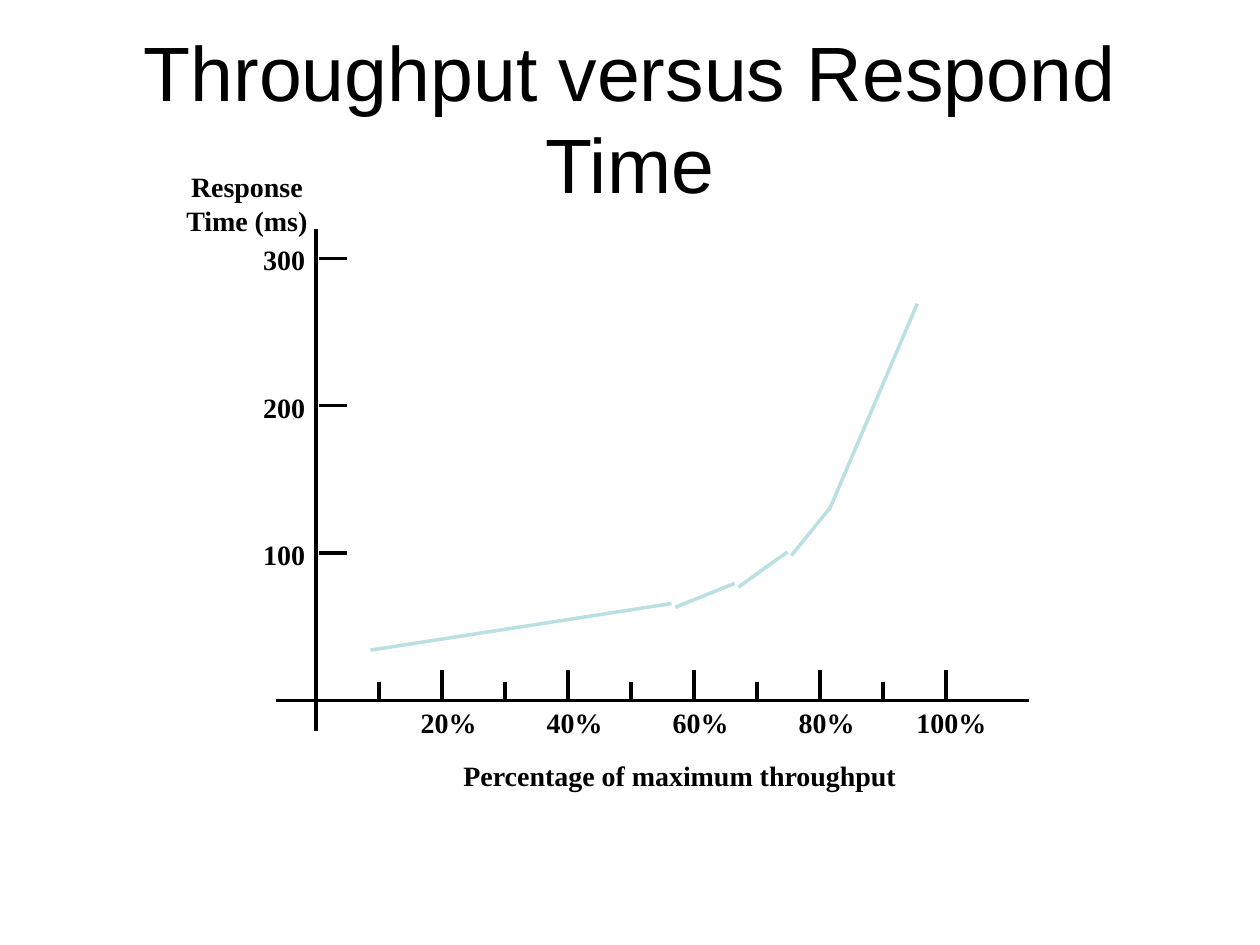
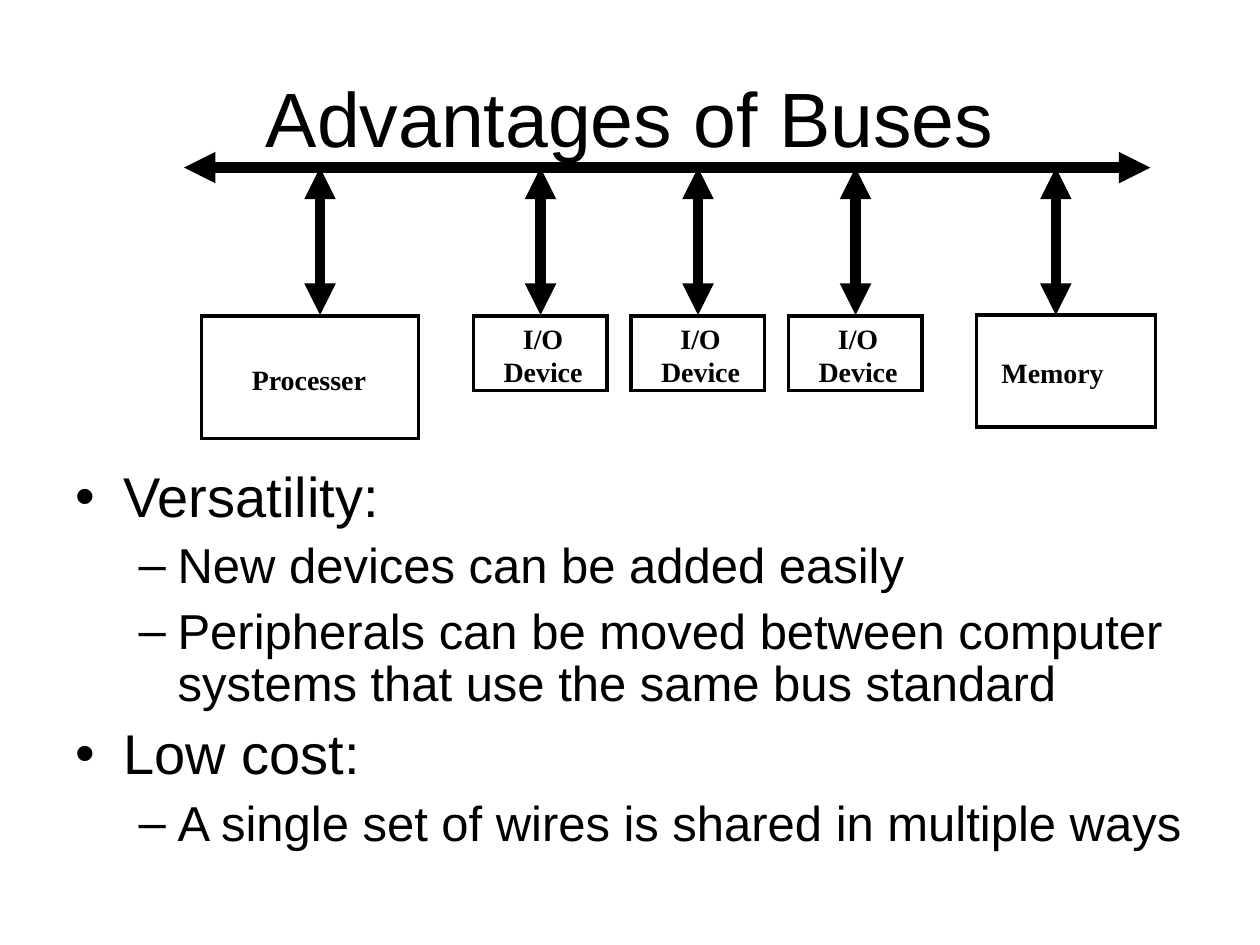
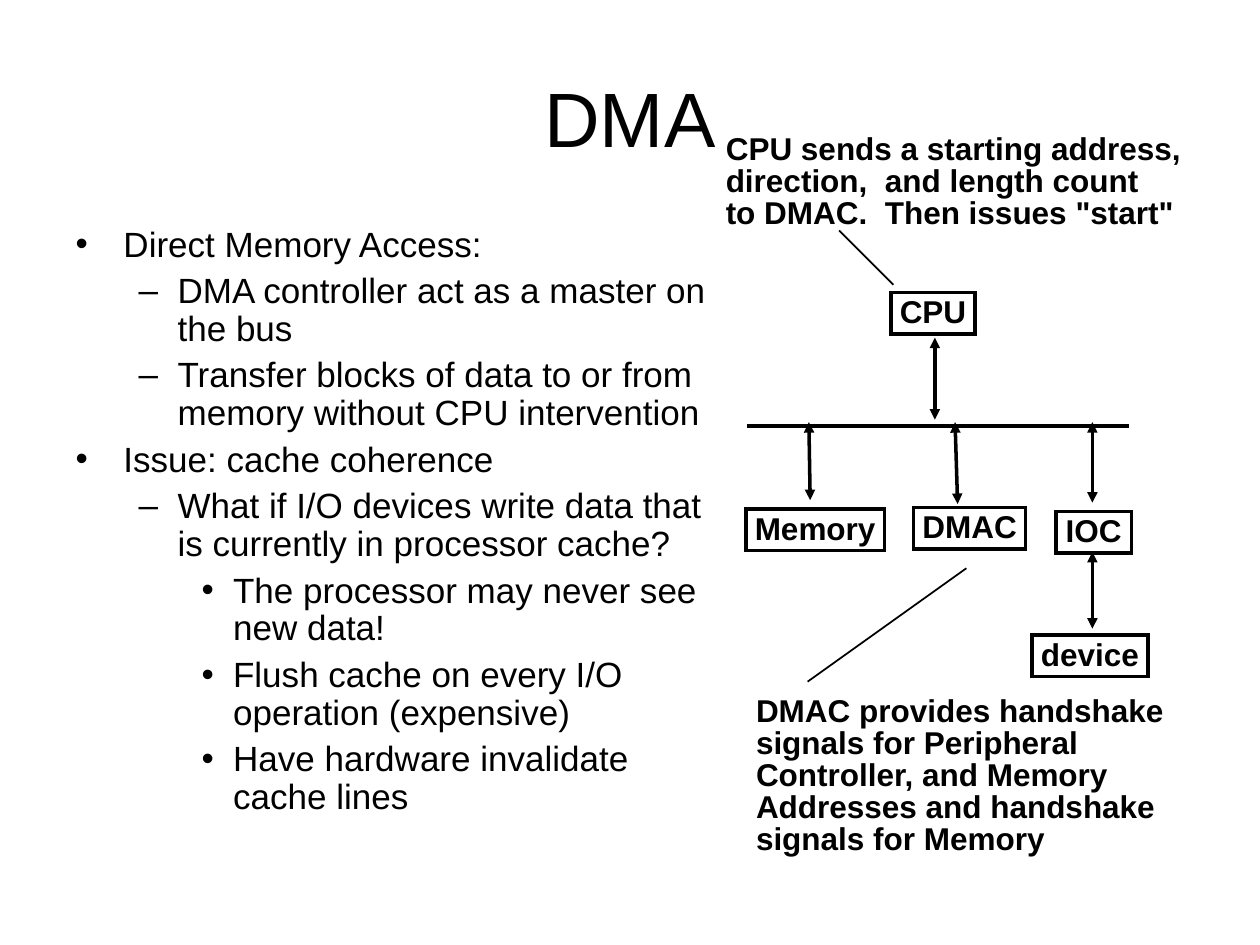
from dataclasses import dataclass

from lxml import etree
from pptx import Presentation
from pptx.dml.color import RGBColor
from pptx.enum import shapes, text as styles
from pptx.oxml.ns import qn
from pptx.util import Inches, Pt

BLACK = RGBColor(0x00, 0x00, 0x00)
PALE_TEAL = RGBColor(0xBB, 0xE0, 0xE3)
SANS = "Arial"
SERIF = "Times New Roman"
LEFT = styles.PP_ALIGN.LEFT
CENTER = styles.PP_ALIGN.CENTER
BULLETS = [("•", 0.38, 0.38), ("–", 0.81, 0.31), ("•", 1.25, 0.25)]


@dataclass
class Box:
    left: float
    top: float
    width: float
    height: float

    def inner(self, left, top, width, height):
        return Box(self.left + left, self.top + top, width, height)

    def point(self, across, down):
        return self.left + across, self.top + down

    def lengths(self):
        return [Inches(side) for side in (self.left, self.top, self.width, self.height)]


TITLE_BOX = Box(0.5, 0.3, 9, 1.25)


def write(para, text, size=16, font=SERIF, bold=False, align=LEFT, spacing=None, before=None):
    para.text = text
    para.alignment = align
    if spacing:
        para.line_spacing = spacing
    if before:
        para.space_before = Pt(before)
    for span in para.runs:
        span.font.size = Pt(size)
        span.font.name = font
        span.font.bold = bold
        span.font.color.rgb = BLACK


def write_lines(frame, lines, **form):
    for index, line in enumerate(lines):
        para = frame.add_paragraph() if index else frame.paragraphs[0]
        write(para, line, **form)


def fit_frame(frame, wrap=False, margins=(0.1, 0.05)):
    frame.word_wrap = wrap
    frame.auto_size = styles.MSO_AUTO_SIZE.SHAPE_TO_FIT_TEXT
    frame.margin_left = frame.margin_right = Inches(margins[0])
    frame.margin_top = frame.margin_bottom = Inches(margins[1])


def add_label(page, box, lines, wrap=False, margins=(0.1, 0.05), **form):
    frame = page.shapes.add_textbox(*box.lengths()).text_frame
    fit_frame(frame, wrap, margins)
    write_lines(frame, lines, **{"bold": True, **form})


def add_outline(page, box):
    outline = page.shapes.add_shape(shapes.MSO_SHAPE.RECTANGLE, *box.lengths())
    outline.shadow.inherit = False
    outline.fill.background()
    outline.line.color.rgb = BLACK
    outline.line.width = Pt(2)
    stroke = outline._element.spPr.find(qn("a:ln"))
    etree.SubElement(stroke, qn("a:miter"), lim="800000")
    return outline


def add_line(page, start, end, width=2, color=BLACK, arrows=False):
    ends = [Inches(length) for length in (*start, *end)]
    link = page.shapes.add_connector(shapes.MSO_CONNECTOR.STRAIGHT, *ends)
    link.line.color.rgb = color
    link.line.width = Pt(width)
    properties = link._element.spPr
    if arrows:
        stroke = properties.find(qn("a:ln"))
        for tip in ("a:headEnd", "a:tailEnd"):
            etree.SubElement(stroke, qn(tip), type="triangle")
    etree.SubElement(properties, qn("a:effectLst"))


def place(holder, box):
    holder.left, holder.top, holder.width, holder.height = box.lengths()
    holder.text_frame.word_wrap = True
    holder.text_frame.auto_size = styles.MSO_AUTO_SIZE.NONE
    return holder.text_frame


def add_page(deck, layout, title):
    page = deck.slides.add_slide(deck.slide_layouts[layout])
    frame = place(page.shapes.title, TITLE_BOX)
    frame.vertical_anchor = styles.MSO_ANCHOR.MIDDLE
    write(frame.paragraphs[0], title, size=44, font=SANS, align=CENTER)
    return page


def fill_body(page, box, items, sizes, gaps):
    frame = place(page.placeholders[1], box)
    for index, (level, line) in enumerate(items):
        para = frame.add_paragraph() if index else frame.paragraphs[0]
        para.level = level
        mark, margin, hang = BULLETS[level]
        properties = para._p.get_or_add_pPr()
        properties.set("marL", str(Inches(margin)))
        properties.set("indent", str(-Inches(hang)))
        etree.SubElement(properties, qn("a:buChar"), char=mark)
        write(para, line, size=sizes[level], font=SANS, spacing=0.9,
              before=gaps[level] if index else None)
    frame.paragraphs[0].space_before = Pt(0)


def draw_plot(page, box):
    base = box.height
    add_line(page, box.point(0, 0), box.point(0, base + 0.24))
    add_line(page, box.point(-0.32, base), box.point(box.width, base))

    for step in (1, 2, 3):
        level = base - 1.17 * step
        add_line(page, box.point(0.02, level), box.point(0.24, level))
        add_label(page, box.inner(-0.52, level - 0.17, 0.53, 0.36), [f"{step * 100}"])

    for step in range(1, 11):
        across = 0.5 * step
        labelled = step % 2 == 0
        rise = 0.24 if labelled else 0.15
        add_line(page, box.point(across, base - rise), box.point(across, base - 0.01))
        if labelled:
            width = 0.77 if step == 10 else 0.64
            add_label(page, box.inner(across + 0.05 - width / 2, base - 0.01, width, 0.36),
                      [f"{step * 10}%"])

    curve = [
        ((0.43, 0.4), (2.82, 0.77)),
        ((2.85, 0.74), (3.32, 0.93)),
        ((3.35, 0.9), (3.74, 1.18)),
        ((3.77, 1.15), (4.07, 1.52)),
        ((4.07, 1.51), (4.77, 3.15)),
    ]
    for (x1, y1), (x2, y2) in curve:
        add_line(page, box.point(x1, base - y1), box.point(x2, base - y2), color=PALE_TEAL)

    add_label(page, box.inner(-1.13, -0.52, 1.16, 0.63), ["Response", "Time (ms)"], align=CENTER)
    add_label(page, box.inner(1.07, base + 0.41, 3.64, 0.36), ["Percentage of maximum throughput"])


def draw_bus(page, box):
    add_line(page, box.point(0, 0), box.point(box.width, 0), width=6, arrows=True)
    units = [
        ("Processer", (0.14, 1.18, 1.72, 0.97), (0.44, 1.5, 1.12, 0.36), 1.08, LEFT),
        ("Memory", (6.29, 1.17, 1.42, 0.89), (6.39, 1.44, 1.26, 0.36), 6.92, LEFT),
    ]
    for index in range(3):
        shift = 1.25 * index
        units.append(("I/O Device", (2.3 + shift, 1.18, 1.06, 0.59),
                      (2.33 + shift, 1.17, 1.04, 0.63), 2.83 + shift, CENTER))
    for name, outline, label, across, align in units:
        add_outline(page, box.inner(*outline))
        add_label(page, box.inner(*label), [name], wrap=True, align=align)
        add_line(page, box.point(across, 0), box.point(across, 1.17), width=6, arrows=True)


def draw_dma(page, box):
    margins = (0.07, 0.03)
    nodes = [
        ("CPU", 1.38, 1.28, 0.67),
        ("Memory", 0.23, 3, 1.1),
        ("DMAC", 1.56, 2.99, 0.89),
        ("IOC", 2.69, 3.02, 0.6),
        ("device", 2.5, 4, 0.92),
    ]
    for name, left, top, width in nodes:
        frame = add_outline(page, box.inner(left, top, width, 0.33)).text_frame
        fit_frame(frame, margins=margins)
        frame.vertical_anchor = styles.MSO_ANCHOR.MIDDLE
        write_lines(frame, [name], size=18, font=SANS, bold=True, align=CENTER, spacing=0.92)

    add_line(page, box.point(0.24, 2.34), box.point(3.27, 2.34))
    arrows = [
        ((1.73, 1.64), (1.73, 2.29)),
        ((0.73, 2.31), (0.74, 2.93)),
        ((1.89, 2.31), (1.91, 2.96)),
        ((2.98, 2.31), (2.98, 2.95)),
        ((2.98, 3.34), (2.98, 3.95)),
    ]
    for start, end in arrows:
        add_line(page, box.point(*start), box.point(*end), arrows=True)

    callouts = [
        ((0, 0, 3.82, 0.82), (1.4, 1.22), (0.97, 0.79), [
            "CPU sends a starting address,",
            "direction,  and length count",
            'to DMAC.  Then issues "start"',
        ]),
        ((0.24, 4.46, 3.38, 1.33), (1.98, 3.47), (0.72, 4.37), [
            "DMAC provides handshake",
            "signals for Peripheral",
            "Controller, and Memory",
            "Addresses and handshake",
            "signals for Memory",
        ]),
    ]
    for area, start, end, lines in callouts:
        add_label(page, box.inner(*area), lines, margins=margins,
                  size=18, font=SANS, spacing=0.85)
        add_line(page, box.point(*start), box.point(*end), width=1)


def main():
    deck = Presentation()
    deck.slide_width, deck.slide_height = Inches(10), Inches(7.5)

    page = add_page(deck, 5, "Throughput versus Respond Time")
    draw_plot(page, Box(2.51, 1.82, 5.66, 3.74))

    page = add_page(deck, 1, "Advantages of Buses")
    draw_bus(page, Box(1.46, 1.33, 7.67, 2.15))
    fill_body(page, Box(0.5, 3.67, 9.08, 3.33), [
        (0, "Versatility:"),
        (1, "New devices can be added easily"),
        (1, "Peripherals can be moved between computer\nsystems that use the same bus standard"),
        (0, "Low cost:"),
        (1, "A single set of wires is shared in multiple ways"),
    ], sizes=(32, 28), gaps=(8, 7))

    page = add_page(deck, 1, "DMA")
    draw_dma(page, Box(5.69, 1.04, 3.82, 5.79))
    fill_body(page, Box(0.5, 1.75, 5.28, 4.95), [
        (0, "Direct Memory Access:"),
        (1, "DMA controller act as a master on the bus"),
        (1, "Transfer blocks of data to or from memory without CPU intervention"),
        (0, "Issue: cache coherence"),
        (1, "What if I/O devices write data that is currently in processor cache?"),
        (2, "The processor may never see new data!"),
        (2, "Flush cache on every I/O operation (expensive)"),
        (2, "Have hardware invalidate cache lines"),
    ], sizes=(20, 20, 20), gaps=(5, 5, 5))

    deck.save("out.pptx")


if __name__ == "__main__":
    main()
